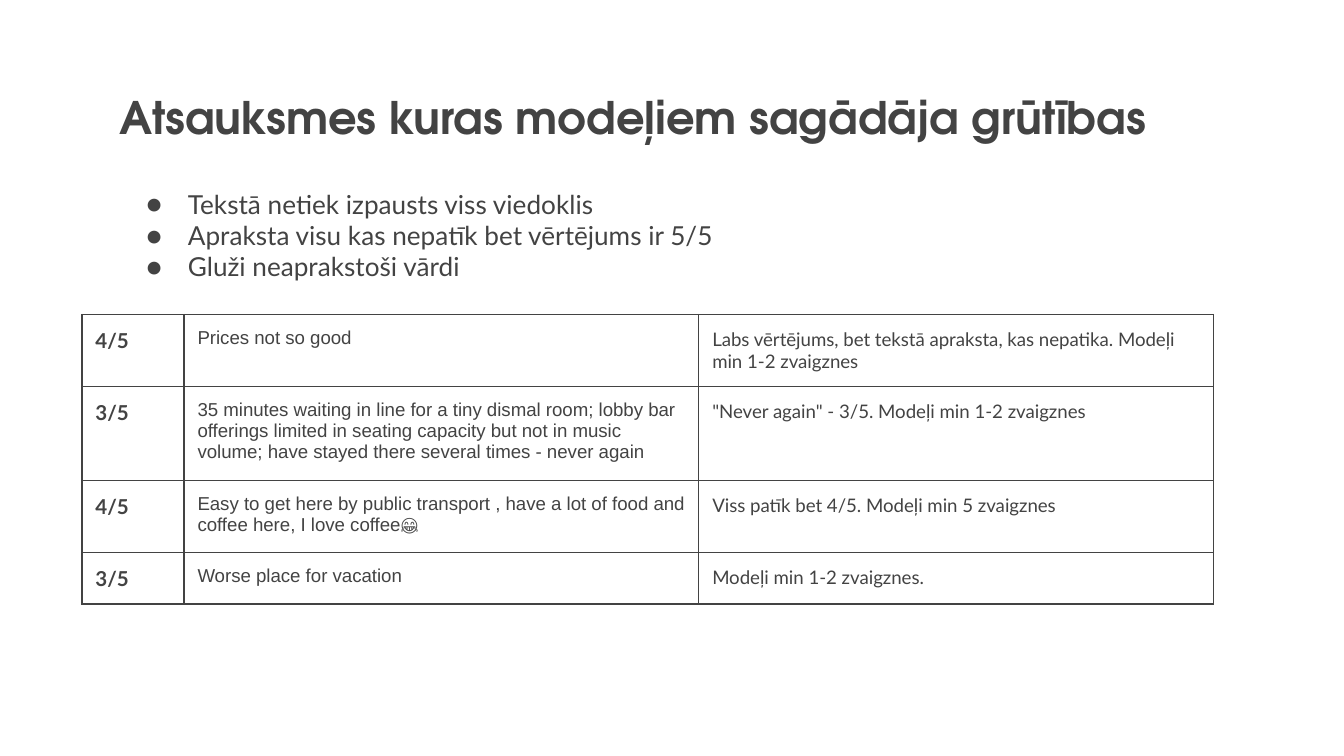
import copy
import dataclasses
import typing

import lxml.etree
import pptx
import pptx.dml.color
import pptx.enum.text
import pptx.oxml.ns
import pptx.util

Inches = pptx.util.Inches
Pt = pptx.util.Pt
qn = pptx.oxml.ns.qn

COLORS = {"ink": "434343", "paper": "FFFFFF"}
MARGIN = Inches(0.1)
COLUMN_WIDTHS = (0.76, 3.83, 3.83)
ROW_HEIGHT = 0.38
BORDER_TAGS = ("a:lnL", "a:lnR", "a:lnT", "a:lnB")

TITLE_FORMAT = {"name": "TeX Gyre Adventor", "size": Pt(24), "bold": True}
BULLET_FORMAT = {"name": "Lato", "size": Pt(14), "bold": False}
COLUMN_FORMATS = (
    {"name": "Lato", "size": Pt(11), "bold": True},
    {"name": "Arial", "size": Pt(10), "bold": False},
    {"name": "Lato", "size": Pt(10), "bold": False},
)
COLUMN_SPACING = (0, 16, 16)


@dataclasses.dataclass(frozen=True)
class Box:
    left: float
    top: float
    width: float
    height: float

    def lengths(self) -> list[int]:
        return [Inches(value) for value in dataclasses.astuple(self)]


@dataclasses.dataclass(frozen=True)
class Review:
    rating: str
    text: str
    remark: str


TITLE = "Atsauksmes kuras modeļiem sagādāja grūtības"
DIFFICULTIES = (
    "Tekstā netiek izpausts viss viedoklis",
    "Apraksta visu kas nepatīk bet vērtējums ir 5/5",
    "Gluži neaprakstoši vārdi",
)
REVIEWS = (
    Review(
        "4/5",
        "Prices not so good",
        "Labs vērtējums, bet tekstā apraksta, kas nepatika. Modeļi min 1-2 zvaigznes",
    ),
    Review(
        "3/5",
        "35 minutes waiting in line for a tiny dismal room; lobby bar offerings "
        "limited in seating capacity but not in music volume; have stayed there "
        "several times - never again",
        '"Never again" - 3/5. Modeļi min 1-2 zvaigznes',
    ),
    Review(
        "4/5",
        "Easy to get here by public transport , have a lot of food and coffee here, "
        "I love coffee😂",
        "Viss patīk bet 4/5. Modeļi min 5 zvaigznes",
    ),
    Review("3/5", "Worse place for vacation", "Modeļi min 1-2 zvaigznes."),
)


def color(name: str) -> pptx.dml.color.RGBColor:
    return pptx.dml.color.RGBColor.from_string(COLORS[name])


def apply_format(target: typing.Any, values: dict[str, typing.Any]) -> None:
    for name, value in values.items():
        setattr(target, name, value)


def set_margins(target: typing.Any) -> None:
    sides = ("left", "top", "right", "bottom")
    apply_format(target, {f"margin_{side}": MARGIN for side in sides})


def write_paragraph(
    paragraph: typing.Any,
    text: str,
    font_format: dict[str, typing.Any],
    spacing: float = 0,
) -> None:
    apply_format(
        paragraph,
        {"line_spacing": 1.0, "space_before": Pt(0), "space_after": Pt(spacing)},
    )
    run = paragraph.add_run()
    run.text = text
    apply_format(run.font, font_format)
    run.font.color.rgb = color("ink")
    end_properties = lxml.etree.SubElement(paragraph._p, qn("a:endParaRPr"))
    run_properties = run._r.get_or_add_rPr()
    for name, value in run_properties.items():
        end_properties.set(name, value)
    end_properties.extend(copy.deepcopy(list(run_properties)))


def add_bullet(paragraph: typing.Any, font_format: dict[str, typing.Any]) -> None:
    properties = paragraph._p.get_or_add_pPr()
    indent = Inches(0.31)
    properties.set("marL", str(indent))
    properties.set("indent", str(-indent))
    bullet_color = lxml.etree.SubElement(properties, qn("a:buClr"))
    lxml.etree.SubElement(bullet_color, qn("a:srgbClr"), val=COLORS["ink"])
    points = int(font_format["size"].pt * 100)
    lxml.etree.SubElement(properties, qn("a:buSzPts"), val=str(points))
    lxml.etree.SubElement(properties, qn("a:buFont"), typeface=font_format["name"])
    lxml.etree.SubElement(properties, qn("a:buChar"), char="●")


def add_text(
    slide: typing.Any,
    box: Box,
    lines: typing.Sequence[str],
    font_format: dict[str, typing.Any],
    bulleted: bool = False,
) -> None:
    frame = slide.shapes.add_textbox(*box.lengths()).text_frame
    frame.word_wrap = True
    frame.vertical_anchor = pptx.enum.text.MSO_ANCHOR.TOP
    set_margins(frame)
    for index, line in enumerate(lines):
        paragraph = frame.add_paragraph() if index else frame.paragraphs[0]
        write_paragraph(paragraph, line, font_format)
        if bulleted:
            add_bullet(paragraph, font_format)


def add_borders(cell: typing.Any) -> None:
    properties = cell._tc.get_or_add_tcPr()
    for position, tag in enumerate(BORDER_TAGS):
        line = lxml.etree.Element(qn(tag), w=str(Pt(0.75)))
        fill = lxml.etree.SubElement(line, qn("a:solidFill"))
        lxml.etree.SubElement(fill, qn("a:srgbClr"), val=COLORS["ink"])
        properties.insert(position, line)


def add_review_table(
    slide: typing.Any, box: Box, reviews: typing.Sequence[Review]
) -> None:
    shape = slide.shapes.add_table(len(reviews), len(COLUMN_WIDTHS), *box.lengths())
    table = shape.table
    apply_format(table, {"first_row": False, "horz_banding": False})
    for column, width in zip(table.columns, COLUMN_WIDTHS):
        column.width = Inches(width)
    for row, review in zip(table.rows, reviews):
        row.height = Inches(ROW_HEIGHT)
        cells = zip(
            row.cells, dataclasses.astuple(review), COLUMN_FORMATS, COLUMN_SPACING
        )
        for cell, text, font_format, spacing in cells:
            set_margins(cell)
            cell.fill.background()
            add_borders(cell)
            paragraph = cell.text_frame.paragraphs[0]
            write_paragraph(paragraph, text, font_format, spacing)


def main() -> None:
    presentation = pptx.Presentation()
    width = Inches(10)
    apply_format(
        presentation, {"slide_width": width, "slide_height": width * 9 // 16}
    )
    slide = presentation.slides.add_slide(presentation.slide_layouts[6])
    slide.background.fill.solid()
    slide.background.fill.fore_color.rgb = color("paper")
    add_text(slide, Box(0.79, 0.57, 8.43, 0.63), [TITLE], TITLE_FORMAT)
    table_box = Box(0.61, 2.34, sum(COLUMN_WIDTHS), ROW_HEIGHT * len(REVIEWS))
    add_review_table(slide, table_box, REVIEWS)
    add_text(slide, Box(0.99, 1.3, 5.16, 4.23), DIFFICULTIES, BULLET_FORMAT, True)
    presentation.save("out.pptx")


if __name__ == "__main__":
    main()
